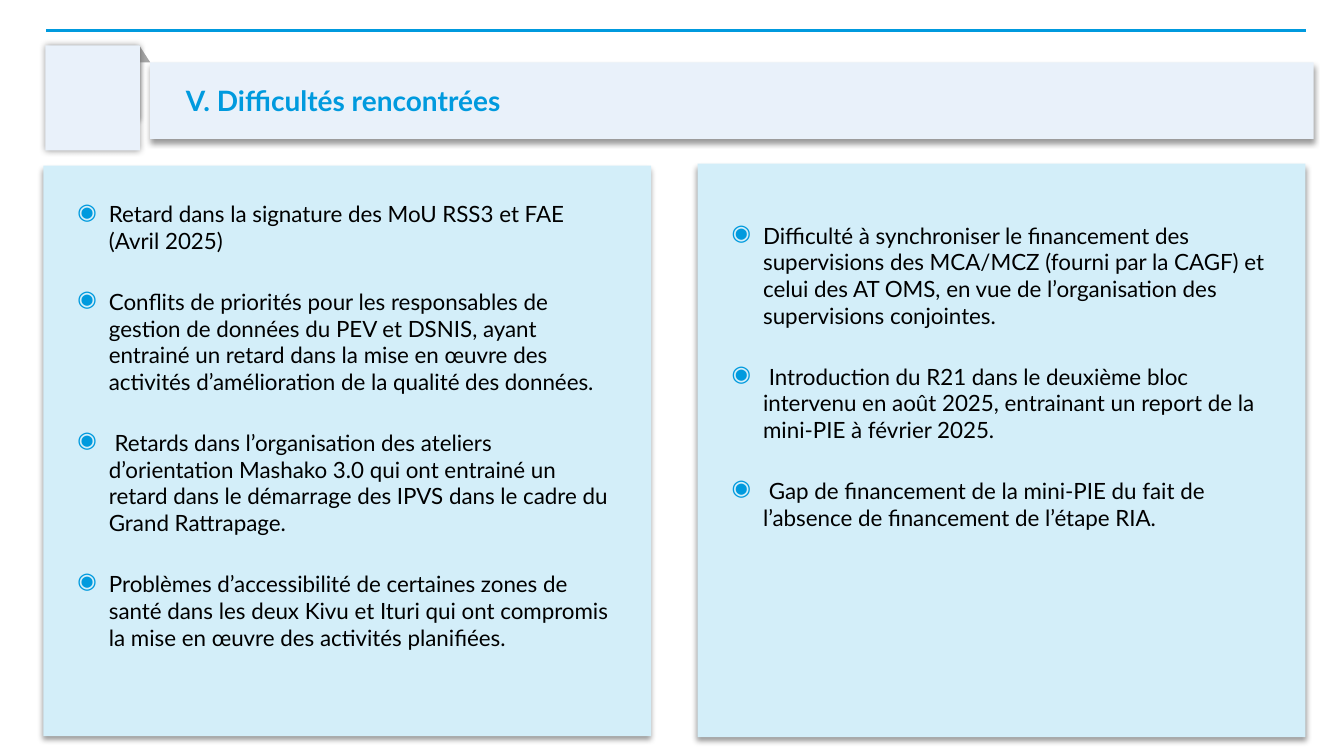
from lxml.etree import SubElement
from pptx import Presentation
from pptx.dml.color import RGBColor
from pptx.enum.shapes import MSO_CONNECTOR, MSO_SHAPE
from pptx.enum.text import MSO_ANCHOR, MSO_AUTO_SIZE, PP_ALIGN
from pptx.oxml.ns import qn
from pptx.util import Pt

LEFT_ISSUES = [
    "Retard dans la signature des MoU RSS3 et FAE (Avril 2025)",
    "Conflits de priorités pour les responsables de gestion de données du PEV et DSNIS, "
    "ayant entrainé un retard dans la mise en œuvre des activités d’amélioration de la "
    "qualité des données.",
    " Retards dans l’organisation des ateliers d’orientation Mashako 3.0 qui ont entrainé "
    "un retard dans le démarrage des IPVS dans le cadre du Grand Rattrapage.",
    "Problèmes d’accessibilité de certaines zones de santé dans les deux Kivu et Ituri qui "
    "ont compromis la mise en œuvre des activités planifiées.",
]
RIGHT_ISSUES = [
    "Difficulté à synchroniser le financement des supervisions des MCA/MCZ (fourni par la "
    "CAGF) et celui des AT OMS, en vue de l’organisation des supervisions conjointes.",
    " Introduction du R21 dans le deuxième bloc intervenu en août 2025, entrainant un "
    "report de la mini-PIE à février 2025.",
    " Gap de financement de la mini-PIE du fait de l’absence de financement de l’étape RIA.",
]


def colour(value):
    return RGBColor.from_string(value)


def write(para, text, size=16, color="000000", bold=False, font="Lato"):
    para.alignment = PP_ALIGN.LEFT
    span = para.add_run()
    span.text = text
    span.font.name = font
    span.font.size = Pt(size)
    span.font.bold = bold
    span.font.color.rgb = colour(color)


class Slide:
    accent = "009ADE"
    pale = "E9F1FA"
    panel_fill = "D3EEF9"

    def __init__(self, deck):
        self.page = deck.slides.add_slide(deck.slide_layouts[5])

    def paint(self, shape, fill, shadow=None):
        shape.fill.solid()
        shape.fill.fore_color.rgb = colour(fill)
        shape.line.fill.background()
        shape.shadow.inherit = False
        if shadow:
            blur, distance, angle = shadow
            effects = shape._element.spPr.find(qn("a:effectLst"))
            outer = SubElement(effects, qn("a:outerShdw"), blurRad=str(Pt(blur)),
                               dist=str(Pt(distance)), dir=str(angle * 60000),
                               algn="ctr", rotWithShape="0")
            black = SubElement(outer, qn("a:srgbClr"), val="000000")
            SubElement(black, qn("a:alpha"), val="40000")

    def title(self, text, left, top, width, height):
        banner = self.page.shapes.title
        banner.left, banner.top = Pt(left), Pt(top)
        banner.width, banner.height = Pt(width), Pt(height)
        self.paint(banner, self.pale, (4, 3, 90))
        frame = banner.text_frame
        frame.auto_size = MSO_AUTO_SIZE.NONE
        frame.vertical_anchor = MSO_ANCHOR.MIDDLE
        frame.margin_left = Pt(25.5)
        frame.margin_top = frame.margin_right = frame.margin_bottom = 0
        write(frame.paragraphs[0], text, size=20, color=self.accent, bold=True)

    def rule(self, left, right, height):
        line = self.page.shapes.add_connector(
            MSO_CONNECTOR.STRAIGHT, Pt(left), Pt(height), Pt(right), Pt(height))
        line.line.color.rgb = colour(self.accent)
        line.line.width = Pt(2.25)
        SubElement(line._element.spPr, qn("a:effectLst"))

    def shape(self, kind, left, top, width, height, fill, shadow=None):
        item = self.page.shapes.add_shape(kind, Pt(left), Pt(top), Pt(width), Pt(height))
        self.paint(item, fill, shadow)

    def bullets(self, texts, left, top, width, height):
        box = self.page.shapes.add_textbox(Pt(left), Pt(top), Pt(width), Pt(height))
        frame = box.text_frame
        frame.word_wrap = True
        for index, text in enumerate(texts):
            para = frame.paragraphs[0] if index == 0 else frame.add_paragraph()
            properties = para._p.get_or_add_pPr()
            properties.set("marL", str(Pt(22.5)))
            properties.set("indent", str(-Pt(22.5)))
            para.space_before = Pt(12 if index else 0)
            para.space_after = Pt(12)
            bullet_color = SubElement(properties, qn("a:buClr"))
            SubElement(bullet_color, qn("a:srgbClr"), val=self.accent)
            SubElement(properties, qn("a:buChar"), char="◉")
            write(para, text)


def main():
    deck = Presentation()
    deck.slide_width, deck.slide_height = Pt(960), Pt(540)
    slide = Slide(deck)
    slide.title("V. Difficultés rencontrées", 107.3, 44.6, 831, 54.7)
    slide.rule(33, 933, 21.6)
    slide.shape(MSO_SHAPE.FLOWCHART_OFFPAGE_CONNECTOR, 36, 32.4, 64, 63.4,
                "F2F2F2", (4, 3, 90))
    slide.shape(MSO_SHAPE.RIGHT_TRIANGLE, 99.4, 32.4, 7.9, 12.2, "A6A6A6")
    slide.shape(MSO_SHAPE.RECTANGLE, 32.4, 32.4, 67.6, 75, slide.pale, (5, 0, 0))
    columns = [
        (LEFT_ISSUES, 31, 118.3, 407.5, 139.7, 399.6, 363.6),
        (RIGHT_ISSUES, 498.3, 116.8, 409.7, 154.8, 404.6, 266.4),
    ]
    for issues, left, top, height, text_top, text_width, text_height in columns:
        slide.shape(MSO_SHAPE.RECTANGLE, left, top, 434.2, height,
                    slide.panel_fill, (4, 3, 90))
        slide.bullets(issues, left + 17.2, text_top, text_width, text_height)
    deck.save("out.pptx")


if __name__ == "__main__":
    main()
